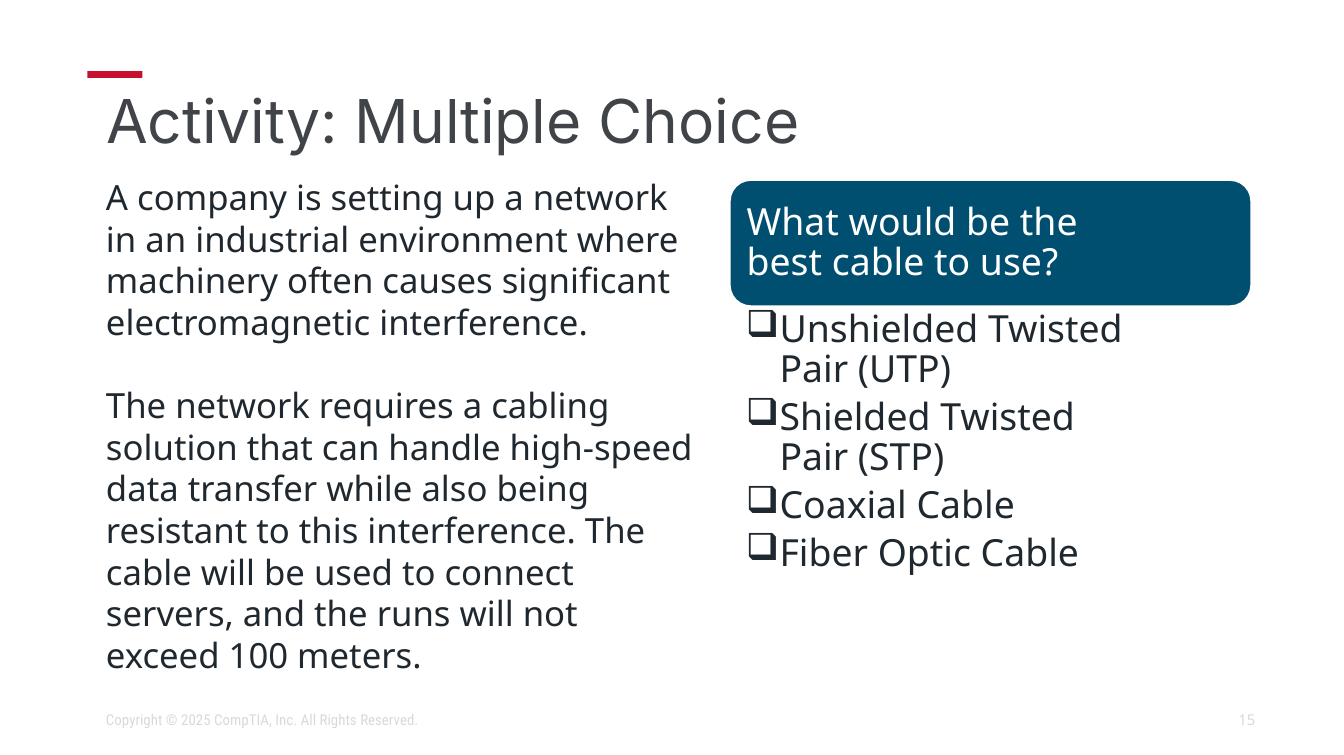
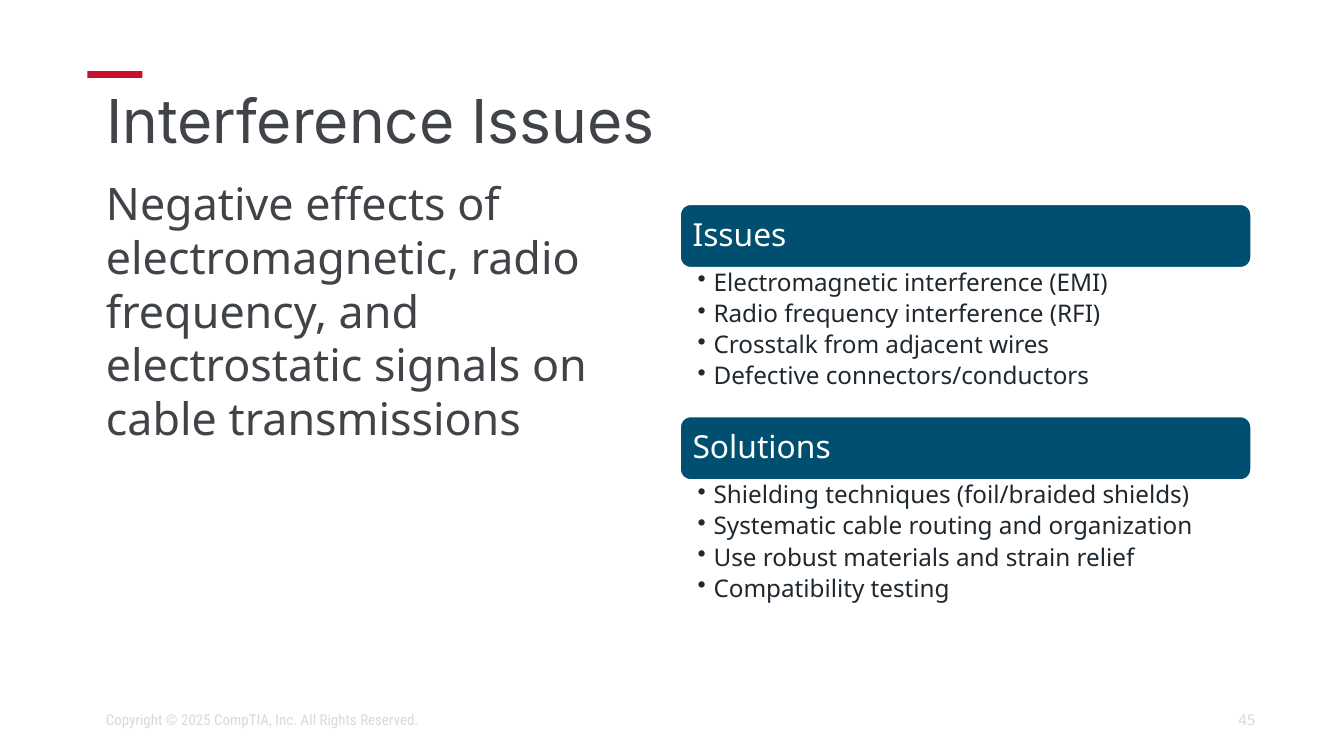
from lxml.etree import SubElement
from pptx import Presentation
from pptx.dml.color import RGBColor
from pptx.enum.shapes import MSO_SHAPE
from pptx.enum.text import MSO_ANCHOR, MSO_AUTO_SIZE, PP_ALIGN
from pptx.oxml.ns import qn
from pptx.util import Inches, Pt

WIDE, HIGH = Inches(10), Inches(5.62)
TONES = {"red": "C8102E", "blue": "004F70", "gray": "404448",
         "ink": "20282F", "pale": "D9D9D9", "white": "FFFFFF"}
SANS = "Noto Sans"

# Boxes are left, top, width, height in percent of the slide
MARK = (6.5, 9.43, 4.1, 0.89)
TITLE = (6.9, 11.57, 86.6, 9.61)
RIGHTS = (6.9, 92.7, 43.1, 5.34)
NUMBER = (70.6, 92.7, 23.8, 5.34)

# Text formats: size, colour, font
FORMS = {"title": (32.4, "gray", "Inter"), "story": (18.6, "ink", SANS),
         "lead": (24, "gray", SANS), "rights": (8, "pale", "Roboto Condensed"),
         "number": (8, "pale", SANS)}

# Panel formats: sizes, header inset, list insets, hanging indent, header share
LARGE = {"head": 20, "list": 20, "pad": 0.08, "ins": (0.12, 0.03, 0.16, 0.03),
         "hang": 0.25, "share": 0.29, "mark": "❑"}
SMALL = {"head": 17, "list": 13, "pad": 0.07, "ins": (0.13, 0.02, 0.13, 0.02),
         "hang": 0.12, "share": 0.3, "mark": "•"}


def place(box):
    """Turn a percent box into lengths."""
    return [int(part * side / 100)
            for part, side in zip(box, (WIDE, HIGH, WIDE, HIGH))]


def apply(item, values):
    for name, value in values.items():
        setattr(item, name, value)


def write(frame, lines, form, ins=(0.1, 0.05, 0.1, 0.05),
          anchor=MSO_ANCHOR.TOP, mark=None, hang=0, **look):
    """Fill a text frame, one paragraph for each line."""
    sides = ("margin_left", "margin_top", "margin_right", "margin_bottom")
    apply(frame, {"word_wrap": True, "auto_size": MSO_AUTO_SIZE.NONE,
                  "vertical_anchor": anchor,
                  **dict(zip(sides, map(Inches, ins)))})
    size, tone, face = form
    gap = look.pop("gap", 0)
    for n, line in enumerate(lines):
        para = frame.add_paragraph() if n else frame.paragraphs[0]
        para.text = line
        if mark:
            props = para._p.get_or_add_pPr()
            props.set("marL", str(Inches(hang)))
            props.set("indent", str(-Inches(hang)))
            SubElement(props, qn("a:buChar"), char=mark)
        apply(para, {"alignment": PP_ALIGN.LEFT, **look})
        if n and gap:
            para.space_before = Pt(gap)
        apply(para.font, {"size": Pt(size), "name": face, "bold": False})
        para.font.color.rgb = RGBColor.from_string(TONES[tone])


def text(slide, box, lines, form, **look):
    frame = slide.shapes.add_textbox(*place(box)).text_frame
    write(frame, lines, form, **look)


def block(slide, kind, box, tone):
    shape = slide.shapes.add_shape(kind, *place(box))
    shape.shadow.inherit = False
    shape.fill.solid()
    shape.fill.fore_color.rgb = RGBColor.from_string(TONES[tone])
    shape.line.fill.background()
    return shape


def base(deck, title, number):
    """Title, red mark and footer that all slides share."""
    slide = deck.slides.add_slide(deck.slide_layouts[5])
    block(slide, MSO_SHAPE.RECTANGLE, MARK, "red")
    head = slide.shapes.title
    apply(head, dict(zip(("left", "top", "width", "height"), place(TITLE))))
    write(head.text_frame, [title], FORMS["title"],
          anchor=MSO_ANCHOR.MIDDLE, line_spacing=0.9)
    text(slide, RIGHTS, ["Copyright © 2025 CompTIA, Inc. All Rights Reserved."],
         FORMS["rights"], anchor=MSO_ANCHOR.MIDDLE)
    text(slide, NUMBER, [number], FORMS["number"],
         anchor=MSO_ANCHOR.MIDDLE, alignment=PP_ALIGN.RIGHT)
    return slide


def panel(slide, box, head, items, kit):
    """Rounded header with a bulleted list below it."""
    left, top, width, height = box
    cut = height * kit["share"]
    bar = block(slide, MSO_SHAPE.ROUNDED_RECTANGLE, (left, top, width, cut), "blue")
    bar.line.color.rgb = RGBColor.from_string(TONES["white"])
    bar.line.width = Pt(1)
    write(bar.text_frame, [head], (kit["head"], "white", SANS),
          ins=[kit["pad"]] * 4, anchor=MSO_ANCHOR.MIDDLE,
          line_spacing=0.9, space_after=Pt(kit["head"] * 0.35))
    text(slide, (left, top + cut, width, height - cut), items,
         (kit["list"], "ink", SANS), ins=kit["ins"], mark=kit["mark"],
         hang=kit["hang"], line_spacing=0.9, space_after=Pt(kit["list"] * 0.2))


def quiz(deck):
    slide = base(deck, "Activity: Multiple Choice", "15")
    text(slide, (6.9, 22.42, 46.2, 70.28), [
        "A company is setting up a network in an industrial environment where "
        "machinery often causes significant electromagnetic interference.",
        "The network requires a cabling solution that can handle high-speed data "
        "transfer while also being resistant to this interference. The cable will "
        "be used to connect servers, and the runs will not exceed 100 meters."],
        FORMS["story"], gap=22.3)
    panel(slide, (54.3, 23.84, 38.8, 57.65),
          "What would be the \vbest cable to use?",
          ["Unshielded Twisted \vPair (UTP)", "Shielded Twisted \vPair (STP)",
           "Coaxial Cable", "Fiber Optic Cable"], LARGE)


def issues(deck):
    slide = base(deck, "Interference Issues", "45")
    text(slide, (6.9, 22.42, 42.5, 65.48),
         ["Negative effects of electromagnetic, radio frequency, and "
          "electrostatic signals on cable transmissions"], FORMS["lead"])
    groups = {
        "Issues": ["Electromagnetic interference (EMI)",
                   "Radio frequency interference (RFI)",
                   "Crosstalk from adjacent wires",
                   "Defective connectors/conductors"],
        "Solutions": ["Shielding techniques (foil/braided shields)",
                      "Systematic cable routing and organization",
                      "Use robust materials and strain relief",
                      "Compatibility testing"]}
    top, step = 27.05, 28.11
    for n, (head, items) in enumerate(groups.items()):
        panel(slide, (50.6, top + n * step, 42.5, step), head, items, SMALL)


def main():
    deck = Presentation()
    apply(deck, {"slide_width": WIDE, "slide_height": HIGH})
    quiz(deck)
    issues(deck)
    deck.save("out.pptx")


if __name__ == "__main__":
    main()
